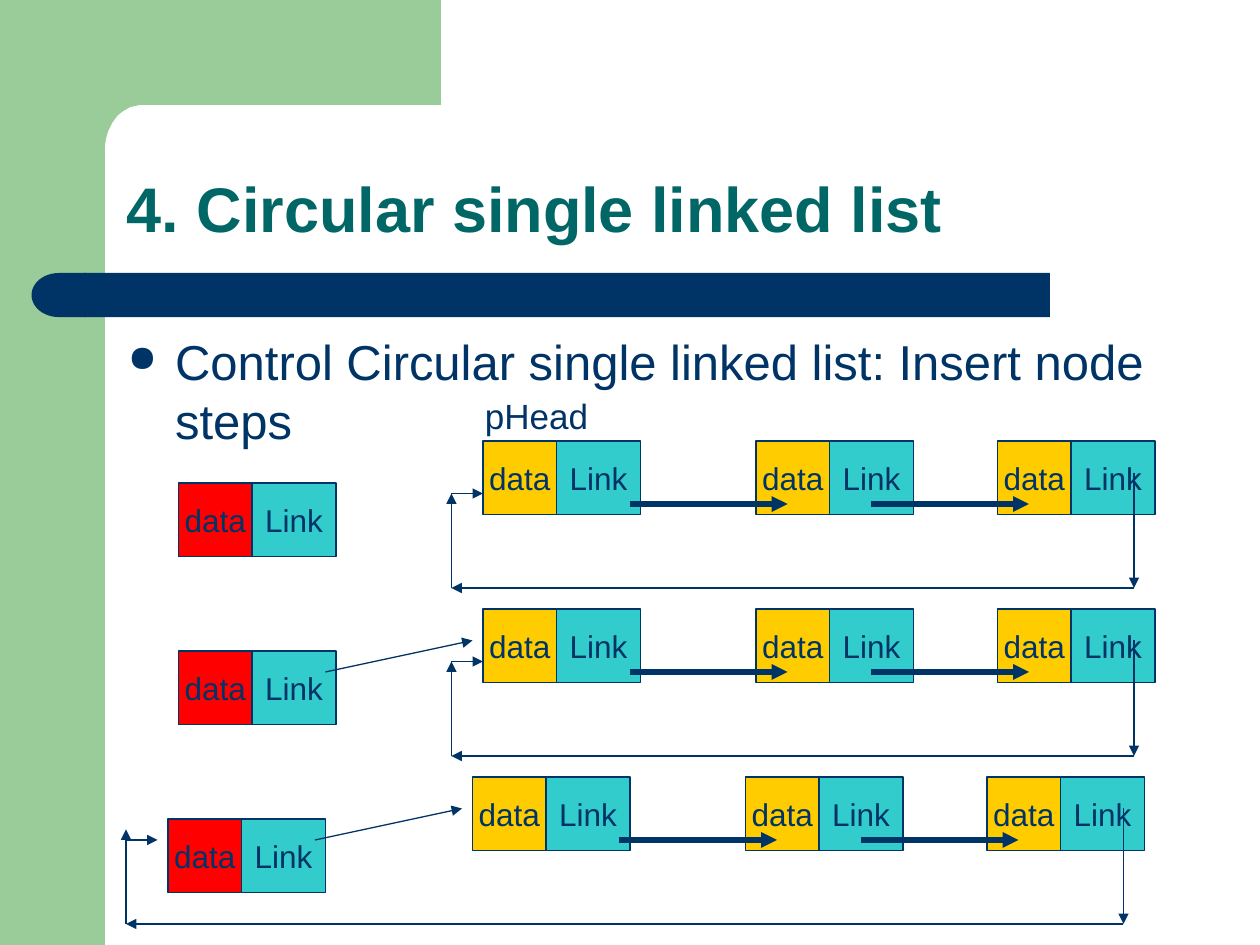
from lxml.etree import SubElement as Sub
from pptx import Presentation
from pptx.dml.color import RGBColor as RGB
from pptx.enum.shapes import MSO_CONNECTOR as Conn, MSO_SHAPE as Kind
from pptx.enum.text import MSO_ANCHOR as Anchor, PP_ALIGN as Align
from pptx.oxml.ns import qn
from pptx.util import Pt

PX = 7620
HUES = {
    "green": "99CC99", "navy": "003366", "teal": "006666",
    "gold": "FFCC00", "aqua": "33CCCC", "red": "FF0000",
}
DATA, LINK, TALL = 70, 80, 70

deck = Presentation()
deck.slide_width, deck.slide_height = 1200 * PX, 900 * PX
slide = deck.slides.add_slide(deck.slide_layouts[6])
shapes = slide.shapes


def write(shape, text, size, hue="navy", bold=False):
    para = shape.text_frame.paragraphs[0]
    para.text = text
    font = para.runs[0].font
    font.name, font.size, font.bold = "Arial", Pt(size), bold
    font.color.rgb = RGB.from_string(HUES[hue])
    return para


def arrow(x1, y1, x2, y2, width=0.75):
    line = shapes.add_connector(Conn.STRAIGHT, x1 * PX, y1 * PX, x2 * PX, y2 * PX)
    line.line.color.rgb = RGB.from_string(HUES["navy"])
    line.line.width = Pt(width)
    props = line.element.spPr
    Sub(props.find(qn("a:ln")), qn("a:tailEnd"), type="triangle")
    Sub(props, qn("a:effectLst"))


pen = shapes.build_freeform(420, 0, scale=PX)
pen.add_line_segments([
    (420, 100), (139, 100), (133, 100), (124, 102), (117, 106), (112, 110),
    (107, 117), (103, 125), (101, 132), (100, 139), (100, 153), (60, 153), (60, 0),
])
corner = pen.convert_to_shape()
side = shapes.add_shape(Kind.RECTANGLE, 0, 0, 100 * PX, 900 * PX)
bar = shapes.add_shape(Kind.RECTANGLE, 80 * PX, 260 * PX, 920 * PX, 42 * PX)
cap = shapes.add_shape(Kind.FLOWCHART_DELAY, 30 * PX, 260 * PX, 52 * PX, 42 * PX)
cap.rotation = 180
for part, hue in ((corner, "green"), (side, "green"), (bar, "navy"), (cap, "navy")):
    part.shadow.inherit = False
    part.fill.solid()
    part.fill.fore_color.rgb = RGB.from_string(HUES[hue])
    part.line.fill.background()

title = shapes.add_textbox(109 * PX, 109 * PX, 1021 * PX, 131 * PX)
title.text_frame.word_wrap = True
title.text_frame.vertical_anchor = Anchor.BOTTOM
write(title, "4. Circular single linked list", 36, "teal", True).line_spacing = 0.9

body = shapes.add_textbox(110 * PX, 310 * PX, 1009 * PX, 488 * PX)
body.text_frame.word_wrap = True
props = body.text_frame.paragraphs[0]._p.get_or_add_pPr()
props.set("marL", str(45 * PX))
props.set("indent", str(-45 * PX))
Sub(Sub(props, qn("a:buClr")), qn("a:srgbClr"), val=HUES["navy"])
Sub(props, qn("a:buSzPct"), val="75000")
Sub(props, qn("a:buChar"), char="●")
write(body, "Control Circular single linked list: Insert node steps", 28)

head = shapes.add_textbox(450 * PX, 370 * PX, 160 * PX, 53 * PX)
head.text_frame.word_wrap = True
write(head, "pHead", 20)

for row, (x, back, turn) in enumerate([(460, 430, 50), (460, 430, 50), (450, 120, 60)]):
    y = 420 + 160 * row
    nodes = [(x + step, y, "gold") for step in (0, 260, 490)]
    nodes.append((x - 290, y + 40, "red"))
    for left, top, hue in nodes:
        cells = (("data", left, DATA, hue), ("Link", left + DATA, LINK, "aqua"))
        for text, start, width, fill in cells:
            cell = shapes.add_shape(Kind.RECTANGLE, start * PX, top * PX, width * PX, TALL * PX)
            cell.shadow.inherit = False
            cell.fill.solid()
            cell.fill.fore_color.rgb = RGB.from_string(HUES[fill])
            cell.line.color.rgb = RGB.from_string(HUES["navy"])
            cell.line.width = Pt(0.75)
            cell.text_frame.word_wrap = False
            cell.text_frame.vertical_anchor = Anchor.MIDDLE
            write(cell, text, 18).alignment = Align.CENTER

    for step in (140, 370):
        arrow(x + step, y + 60, x + step + 150, y + 60, 3)
    arrow(x + 620, y + 30, x + 620, y + 140)
    arrow(x + 620, y + 140, back, y + 140)
    arrow(back, y + 140, back, y + 50)
    arrow(back, y + turn, back + 30, y + turn)
    if row:
        arrow(x - 150, y + 60, x - 10, y + 30)

deck.save("out.pptx")
